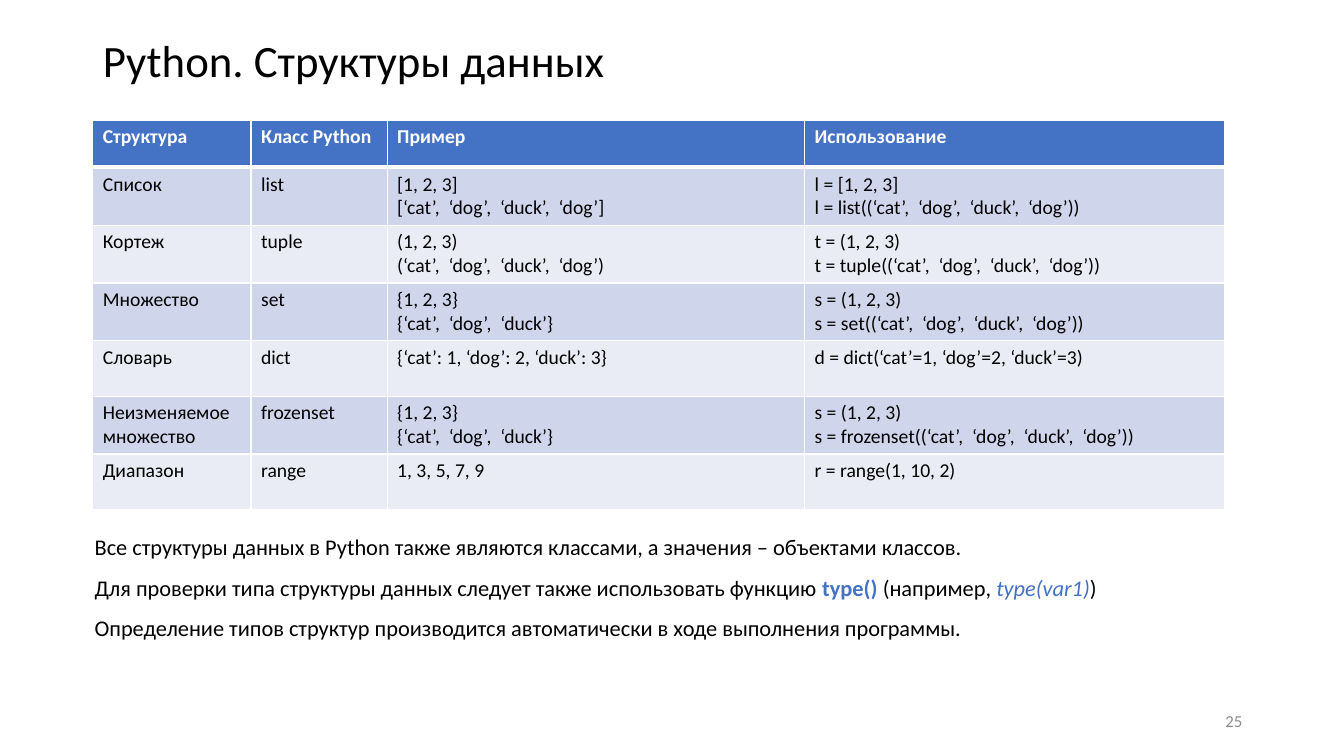
from lxml.etree import SubElement
from pptx import Presentation
from pptx.dml.color import RGBColor
from pptx.enum.text import MSO_ANCHOR, MSO_AUTO_SIZE, PP_ALIGN
from pptx.oxml.ns import qn
from pptx.util import Inches, Pt

BLACK, WHITE, BLUE, GREY = "000000", "FFFFFF", "4472C4", "8C8C8C"
BANDS = ("CFD5EA", "E9EBF5")
COL_WIDTHS = (1.57, 1.35, 4.14, 4.17)
ROW_HEIGHTS = (0.47,) + (0.55,) * 6

STRUCTURES = (
    ("Структура", "Класс Python", "Пример", "Использование"),
    ("Список", "list", "[1, 2, 3]\n[‘cat’,  ‘dog’,  ‘duck’,  ‘dog’]",
     "l = [1, 2, 3]\nl = list((‘cat’,  ‘dog’,  ‘duck’,  ‘dog’))"),
    ("Кортеж", "tuple", "(1, 2, 3)\n(‘cat’,  ‘dog’,  ‘duck’,  ‘dog’)",
     "t = (1, 2, 3)\nt = tuple((‘cat’,  ‘dog’,  ‘duck’,  ‘dog’))"),
    ("Множество", "set", "{1, 2, 3}\n{‘cat’,  ‘dog’,  ‘duck’}",
     "s = (1, 2, 3)\ns = set((‘cat’,  ‘dog’,  ‘duck’,  ‘dog’))"),
    ("Словарь", "dict", "{‘cat’: 1, ‘dog’: 2, ‘duck’: 3}",
     "d = dict(‘cat’=1, ‘dog’=2, ‘duck’=3)"),
    ("Неизменяемое множество", "frozenset", "{1, 2, 3}\n{‘cat’,  ‘dog’,  ‘duck’}",
     "s = (1, 2, 3)\ns = frozenset((‘cat’,  ‘dog’,  ‘duck’,  ‘dog’))"),
    ("Диапазон", "range", "1, 3, 5, 7, 9", "r = range(1, 10, 2)"),
)

NOTES = (
    (("Все структуры данных в Python также являются классами, "
      "а значения – объектами классов.", {}),),
    (("Для проверки типа структуры данных следует также использовать функцию ", {}),
     ("type() ", {"color": BLUE, "bold": True}),
     ("(например, ", {}),
     ("type(var1)", {"color": BLUE, "italic": True}),
     (")", {})),
    (("Определение типов структур производится автоматически "
      "в ходе выполнения программы.", {}),),
)


def rgb(color):
    return RGBColor.from_string(color)


def add_run(p, text, size, color=BLACK, **formats):
    r = p.add_run()
    r.text = text
    r.font.color.rgb = rgb(color)
    for name, value in {"name": "Calibri", "size": Pt(size), **formats}.items():
        setattr(r.font, name, value)


def add_text_box(slide, box):
    tf = slide.shapes.add_textbox(*map(Inches, box)).text_frame
    tf.word_wrap = True
    return tf


def set_title(slide, box, text):
    sp = slide.shapes.title
    for name, value in zip(("left", "top", "width", "height"), box):
        setattr(sp, name, Inches(value))
    tf = sp.text_frame
    tf.auto_size = MSO_AUTO_SIZE.NONE
    tf.vertical_anchor = MSO_ANCHOR.MIDDLE
    p = tf.paragraphs[0]
    p.alignment = PP_ALIGN.LEFT
    p.line_spacing = 0.9
    add_run(p, text, 32)


def set_borders(cell, widths):
    """Draw white cell borders; widths maps side letters to points."""
    tcPr = cell._tc.get_or_add_tcPr()
    for side, width in widths.items():
        ln = SubElement(tcPr, qn(f"a:ln{side}"), w=str(Pt(width)))
        fill = SubElement(ln, qn("a:solidFill"))
        SubElement(fill, qn("a:srgbClr"), val=WHITE)


def add_structures_table(slide, box):
    table = slide.shapes.add_table(
        len(STRUCTURES), len(COL_WIDTHS), *map(Inches, box)).table
    for col, width in zip(table.columns, COL_WIDTHS):
        col.width = Inches(width)
    for i, (row, height) in enumerate(zip(table.rows, ROW_HEIGHTS)):
        row.height = Inches(height)
        header = i == 0
        for cell, text in zip(row.cells, STRUCTURES[i]):
            set_borders(cell, {"L": 1, "R": 1, "T": 3 if i == 1 else 1,
                               "B": 3 if header else 1})
            cell.fill.solid()
            cell.fill.fore_color.rgb = rgb(BLUE if header else BANDS[(i - 1) % 2])
            tf = cell.text_frame
            for n, line in enumerate(text.split("\n")):
                p = tf.add_paragraph() if n else tf.paragraphs[0]
                add_run(p, line, 14, WHITE if header else BLACK, bold=header)


def add_notes(slide, box):
    tf = add_text_box(slide, box)
    for n, runs in enumerate(NOTES):
        p = tf.add_paragraph() if n else tf.paragraphs[0]
        p.line_spacing = 1.5
        for text, formats in runs:
            add_run(p, text, 16, **formats)


def add_page_number(slide, box, number):
    tf = add_text_box(slide, box)
    tf.vertical_anchor = MSO_ANCHOR.MIDDLE
    p = tf.paragraphs[0]
    p.alignment = PP_ALIGN.RIGHT
    add_run(p, str(number), 12, GREY)


def main():
    prs = Presentation()
    prs.slide_width, prs.slide_height = Inches(13.33), Inches(7.5)
    slide = prs.slides.add_slide(prs.slide_layouts[5])
    set_title(slide, (0.92, 0.4, 11.5, 0.45), "Python. Структуры данных")
    add_structures_table(slide, (0.92, 1.19, sum(COL_WIDTHS), sum(ROW_HEIGHTS)))
    add_notes(slide, (0.84, 5.11, 11.22, 1.27))
    add_page_number(slide, (9.42, 6.95, 3, 0.4), 25)
    prs.save("out.pptx")


if __name__ == "__main__":
    main()
